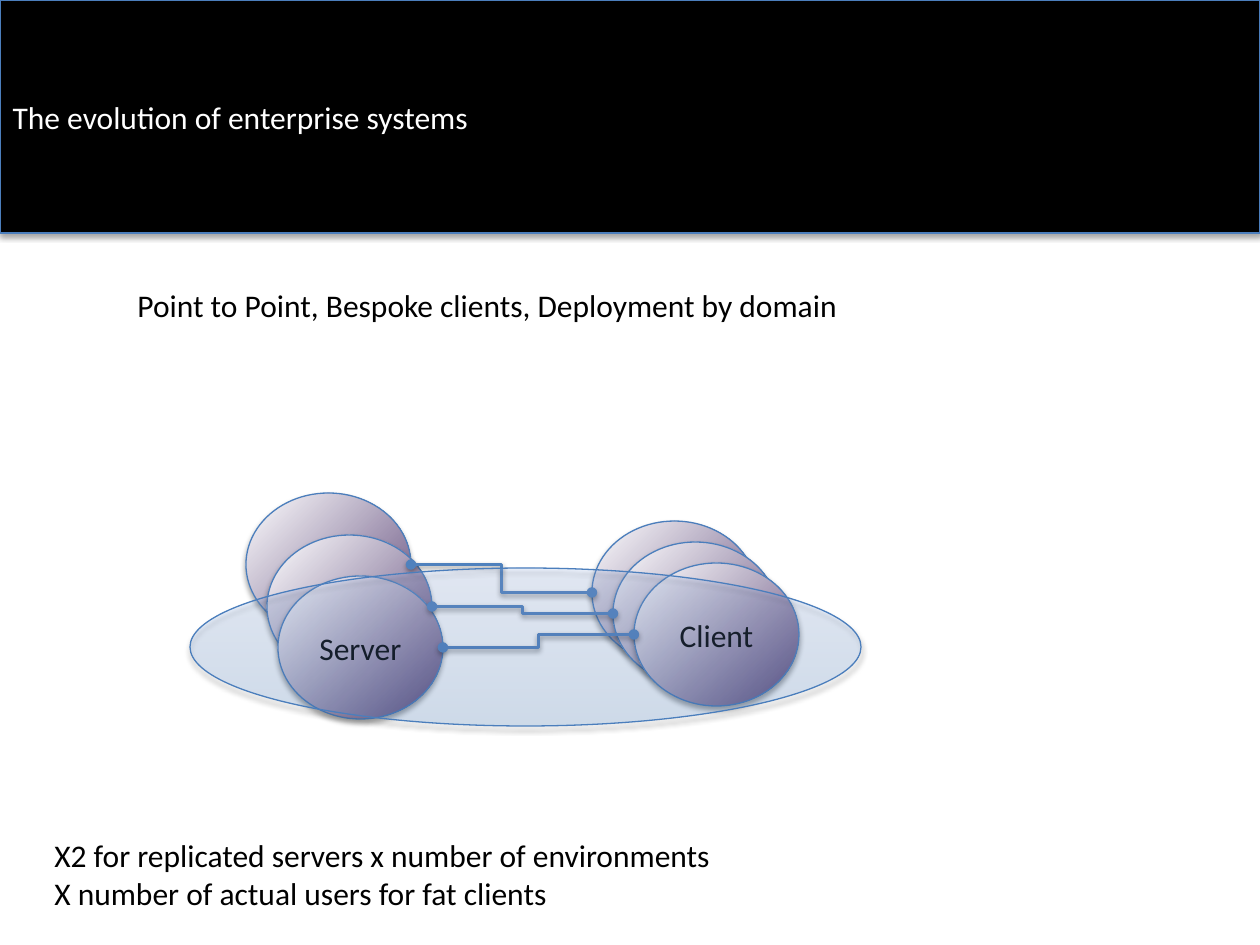
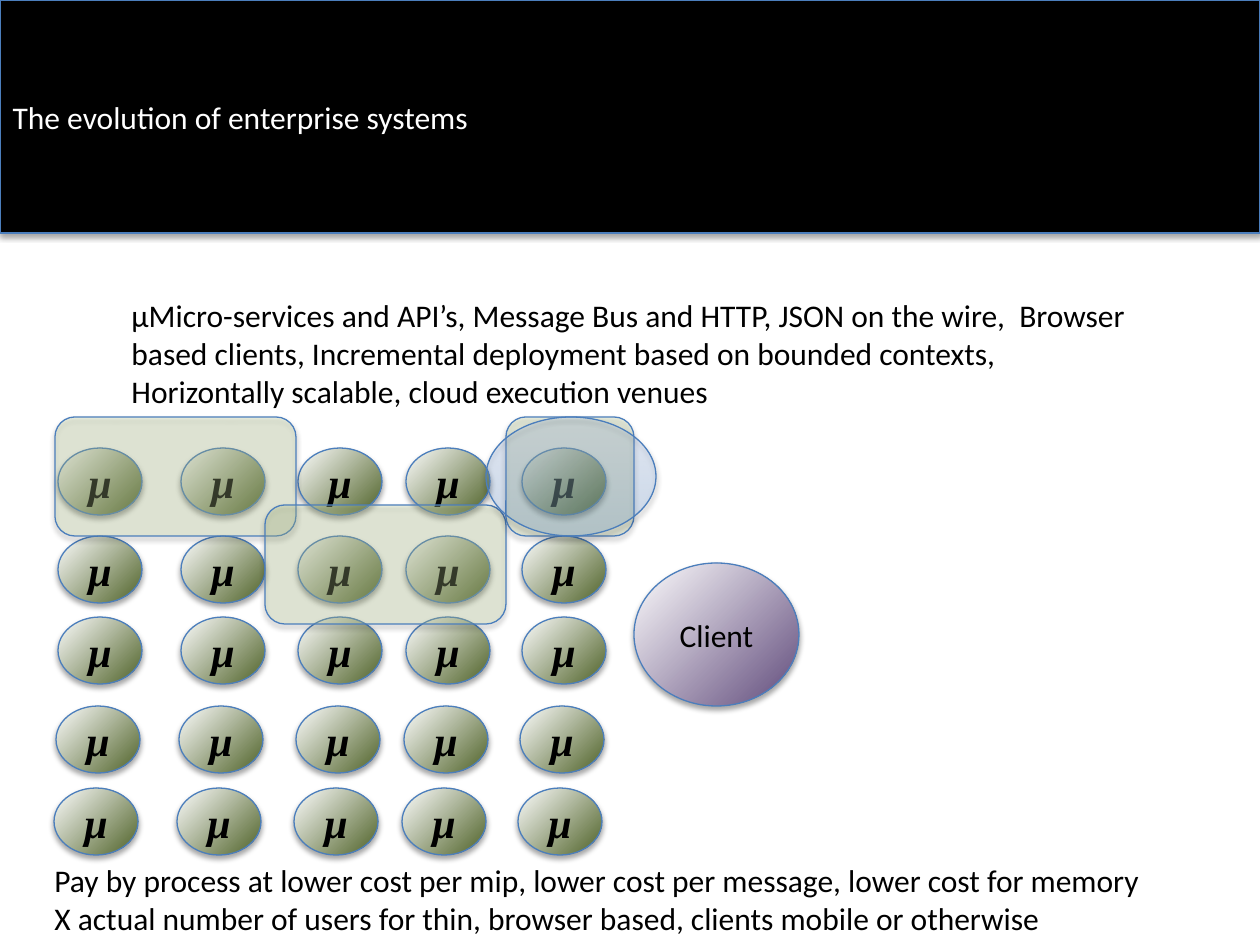
from pptx import Presentation
from pptx.dml.color import RGBColor
from pptx.enum.shapes import MSO_CONNECTOR, MSO_SHAPE
from pptx.enum.text import MSO_ANCHOR, MSO_AUTO_SIZE, PP_ALIGN
from pptx.oxml import parse_xml
from pptx.oxml.ns import nsdecls
from pptx.util import Emu, Pt

ELLIPSE = MSO_SHAPE.OVAL
ROUNDED = MSO_SHAPE.ROUNDED_RECTANGLE
ELBOW = MSO_CONNECTOR.ELBOW
LEFT, CENTER = PP_ALIGN.LEFT, PP_ALIGN.CENTER
TOP, MIDDLE = MSO_ANCHOR.TOP, MSO_ANCHOR.MIDDLE
FIT_SHAPE, NO_FIT = MSO_AUTO_SIZE.SHAPE_TO_FIT_TEXT, MSO_AUTO_SIZE.NONE

EMU_PER_PX = 914400 / 126
SLIDE_WIDTH, SLIDE_HEIGHT = 1260, 945
TITLE_LAYOUT = 5
BAND_HEIGHT = 233
NODE_SIZE = (165, 143)
SERVICE_SIZE = (84, 67)

COLORS = {
    "black": "000000",
    "white": "FFFFFF",
    "outline": "4B7EBC",
    "connector": "4F81BD",
    "node": "604A7B",
    "service": "4F6228",
    "context": "C3D69B",
    "domain_dark": "3F80CE",
    "domain_light": "A4C4FF",
}

SERVERS = [(246, 493), (267, 535), (278, 576)]
CLIENTS = [(592 + 21 * i, 521 + 21 * i) for i in range(3)]

SERVICE_COLUMNS = [58, 181, 298, 406, 522]
SERVICE_ROWS = [(448, 0), (536, 0), (617, 0), (706, -2), (788, -4)]  # top, shift
CONTEXTS = [(55, 417, 241, 119), (265, 505, 241, 119), (506, 417, 128, 119)]


def px(*lengths):
    return [Emu(round(length * EMU_PER_PX)) for length in lengths]


def rgb(name):
    return RGBColor.from_string(COLORS[name])


def color_xml(name, alpha=100):
    return f'<a:srgbClr val="{COLORS[name]}"><a:alpha val="{alpha * 1000}"/></a:srgbClr>'


def solid_fill(name, alpha=100):
    return f'<a:solidFill {nsdecls("a")}>{color_xml(name, alpha)}</a:solidFill>'


def gradient_fill(start, end, direction, alpha=100):
    return (
        f'<a:gradFill {nsdecls("a")} rotWithShape="1"><a:gsLst>'
        f'<a:gs pos="0">{color_xml(start, alpha)}</a:gs>'
        f'<a:gs pos="100000">{color_xml(end, alpha)}</a:gs>'
        f'</a:gsLst>{direction}</a:gradFill>'
    )


def ball_fill(name):
    """Radial fill, dark at the lower right and white at the upper left."""
    direction = (
        '<a:path path="circle"><a:fillToRect l="100000" t="100000"/></a:path>'
        '<a:tileRect r="-100000" b="-100000"/>'
    )
    return gradient_fill(name, "white", direction)


def domain_fill(alpha):
    direction = '<a:lin ang="16200000" scaled="0"/>'
    return gradient_fill("domain_dark", "domain_light", direction, alpha)


def add_shadow(properties, blur, distance, alpha):
    properties.append(parse_xml(
        f'<a:effectLst {nsdecls("a")}><a:outerShdw blurRad="{Pt(blur)}" '
        f'dist="{Pt(distance)}" dir="5400000" rotWithShape="0">'
        f'{color_xml("black", alpha)}</a:outerShdw></a:effectLst>'
    ))


def style_shape(shape, fill):
    """Apply the fill and the outline and shadow that all shapes share."""
    properties = shape.element.spPr
    shape.fill.background()
    properties.replace(properties[-1], parse_xml(fill))
    shape.line.color.rgb = rgb("outline")
    shape.line.width = Pt(0.75)
    add_shadow(properties, 3.1, 1.8, 35)


def write_text(shape, text, size=18, font="Calibri", color="black", bold=False,
               italic=False, align=LEFT, anchor=TOP, wrap=True, fit=NO_FIT):
    frame = shape.text_frame
    frame.text = text
    frame.word_wrap = wrap
    frame.auto_size = fit
    frame.vertical_anchor = anchor
    for paragraph in frame.paragraphs:
        paragraph.alignment = align
        paragraph.font.size = Pt(size)
        paragraph.font.name = font
        paragraph.font.bold = bold
        paragraph.font.italic = italic
        paragraph.font.color.rgb = rgb(color)


def add_title_slide(presentation, title):
    """Add a slide whose title fills the black band at the top."""
    slide = presentation.slides.add_slide(presentation.slide_layouts[TITLE_LAYOUT])
    band = slide.shapes.title
    band.left, band.top, band.width, band.height = px(0, 0, SLIDE_WIDTH, BAND_HEIGHT)
    style_shape(band, solid_fill("black"))
    write_text(band, title, color="white", anchor=MIDDLE)
    return slide


def add_note(slide, box, text, wrap=False):
    note = slide.shapes.add_textbox(*px(*box))
    write_text(note, text, wrap=wrap, fit=FIT_SHAPE)


def add_area(slide, kind, box, fill):
    area = slide.shapes.add_shape(kind, *px(*box))
    # Replace the theme fill only after the geometry, so it stays in schema order.
    style_shape(area, fill)
    return area


def add_node(slide, position, label):
    node = add_area(slide, ELLIPSE, (*position, *NODE_SIZE), ball_fill("node"))
    write_text(node, label, align=CENTER, anchor=MIDDLE)
    return node


def add_service(slide, position):
    service = add_area(slide, ELLIPSE, (*position, *SERVICE_SIZE), ball_fill("service"))
    write_text(service, "μ", size=24, font="Times New Roman", bold=True,
               italic=True, align=CENTER, anchor=MIDDLE)


def add_link(slide, server, client):
    """Join the right side of a server to the left side of a client."""
    link = slide.shapes.add_connector(
        ELBOW,
        server.left + server.width, server.top + server.height // 2,
        client.left, client.top + client.height // 2,
    )
    link.line.color.rgb = rgb("connector")
    link.line.width = Pt(2)
    line = link.line._get_or_add_ln()
    for end in ("headEnd", "tailEnd"):
        line.append(parse_xml(f'<a:{end} {nsdecls("a")} type="oval"/>'))
    add_shadow(link.element.spPr, 3.1, 1.6, 38)


def build_point_to_point(presentation, title):
    slide = add_title_slide(presentation, title)
    add_note(slide, (125, 280, 736, 50),
             "Point to Point, Bespoke clients, Deployment by domain")
    servers = [add_node(slide, position, "Server") for position in SERVERS]
    clients = [add_node(slide, position, "Client") for position in CLIENTS]
    for server, client in zip(servers, clients):
        add_link(slide, server, client)
    add_note(slide, (42, 830, 692, 89),
             "X2 for replicated servers x number of environments\n"
             "X number of actual users for fat clients")
    add_area(slide, ELLIPSE, (190, 568, 671, 158), domain_fill(18))


def build_micro_services(presentation, title):
    slide = add_title_slide(presentation, title)
    add_note(slide, (119, 290, 1062, 127),
             "μMicro-services and API’s, Message Bus and HTTP, JSON on the wire,  "
             "Browser based clients, Incremental deployment based on bounded contexts,\n"
             "Horizontally scalable, cloud execution venues", wrap=True)
    add_node(slide, CLIENTS[-1], "Client")
    add_note(slide, (42, 855, 1128, 89),
             "Pay by process at lower cost per mip, lower cost per message, "
             "lower cost for memory\n"
             "X actual number of users for thin, browser based, "
             "clients mobile or otherwise")
    for left in SERVICE_COLUMNS:
        for top, shift in SERVICE_ROWS:
            add_service(slide, (left + shift, top))
    for box in CONTEXTS:
        add_area(slide, ROUNDED, box, solid_fill("context", 27))
    add_area(slide, ELLIPSE, (486, 417, 170, 119), domain_fill(20))


def main():
    presentation = Presentation()
    presentation.slide_width, presentation.slide_height = px(SLIDE_WIDTH, SLIDE_HEIGHT)
    title = "The evolution of enterprise systems"
    build_point_to_point(presentation, title)
    build_micro_services(presentation, title)
    presentation.save("out.pptx")


if __name__ == "__main__":
    main()
